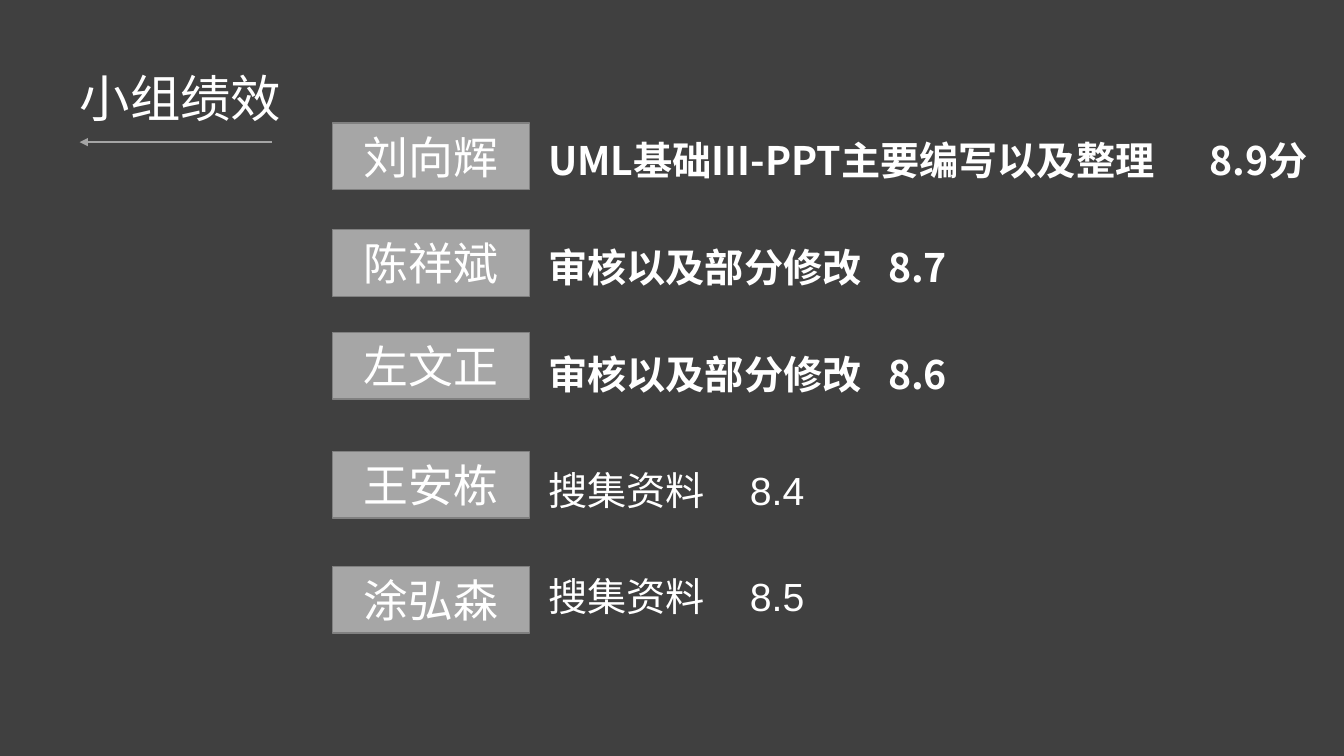
from lxml import etree
from pptx import Presentation
from pptx import util as u
from pptx.dml.color import RGBColor
from pptx.enum import shapes, text
from pptx.oxml import ns

BACKGROUND = RGBColor(0x40, 0x40, 0x40)
WHITE = RGBColor(0xFF, 0xFF, 0xFF)
BOX_FILL = RGBColor(0xA6, 0xA6, 0xA6)
BOX_LINE = RGBColor(0x80, 0x80, 0x80)
ARROW = RGBColor(0xA5, 0xA5, 0xA5)
CHINESE_FONT = "Noto Sans CJK SC"
LATIN_FONT = "Arial"

LEAD = {"bold": True, "spacing": 1.15}
HELPER = {"font": LATIN_FONT, "spacing": 0.9}
MEMBERS = [
    ("刘向辉", 1.22, "UML基础III-PPT主要编写以及整理", "8.9分", 0.42, 6.56, LEAD),
    ("陈祥斌", 2.28, "审核以及部分修改", "8.7", 1.48, 3.37, LEAD),
    ("左文正", 3.3, "审核以及部分修改", "8.6", 2.54, 3.37, LEAD),
    ("王安栋", 4.48, "搜集资料", "8.4", 3.75, 2, HELPER),
    ("涂弘森", 5.62, "搜集资料", "8.5", 4.81, 2, HELPER),
]


def write_text(shape, content, size, font=CHINESE_FONT, bold=False,
               align=text.PP_ALIGN.LEFT, spacing=1.0, tab=None):
    """Fill a shape with one formatted paragraph."""
    frame = shape.text_frame
    frame.word_wrap = True
    frame.auto_size = text.MSO_AUTO_SIZE.NONE
    frame.vertical_anchor = text.MSO_ANCHOR.MIDDLE
    paragraph = frame.paragraphs[0]
    paragraph.alignment = align
    paragraph.line_spacing = spacing
    run = paragraph.add_run()
    run.text = content
    run.font.size = u.Pt(size)
    run.font.bold = bold
    run.font.name = font
    run.font.color.rgb = WHITE
    east_asian = etree.SubElement(run.font._element, ns.qn("a:ea"))
    east_asian.set("typeface", CHINESE_FONT)
    if tab is not None:
        properties = paragraph._p.get_or_add_pPr()
        stops = etree.SubElement(properties, ns.qn("a:tabLst"))
        etree.SubElement(stops, ns.qn("a:tab"), pos=str(u.Inches(tab)), algn="l")


def add_title(slide, content):
    """Place and fill the title placeholder."""
    title = slide.shapes.title
    title.left, title.top = u.Inches(0.69), u.Inches(0.28)
    title.width, title.height = u.Inches(4.09), u.Inches(1.45)
    write_text(title, content, 36, spacing=0.9)


def add_arrow(slide, start, end, y):
    """Draw a horizontal arrow with its head at the end."""
    arrow = slide.shapes.add_connector(
        shapes.MSO_CONNECTOR.STRAIGHT,
        u.Inches(start), u.Inches(y), u.Inches(end), u.Inches(y))
    arrow.line.color.rgb = ARROW
    arrow.line.width = u.Pt(1.5)
    etree.SubElement(arrow.line._get_or_add_ln(), ns.qn("a:tailEnd"), type="triangle")
    etree.SubElement(arrow._element.spPr, ns.qn("a:effectLst"))


def add_name_box(slide, name, top):
    """Draw a grey box holding a member's name."""
    box = slide.shapes.add_shape(
        shapes.MSO_SHAPE.RECTANGLE,
        u.Inches(3.3), u.Inches(top), u.Inches(1.95), u.Inches(0.66))
    box.shadow.inherit = False
    box.fill.solid()
    box.fill.fore_color.rgb = BOX_FILL
    box.line.color.rgb = BOX_LINE
    box.line.width = u.Pt(1)
    write_text(box, name, 32, align=text.PP_ALIGN.CENTER)


def add_task(slide, task, score, top, tab, style):
    """Write a member's task and score, separated by a tab stop."""
    box = slide.shapes.add_textbox(
        u.Inches(5.34), u.Inches(top), u.Inches(7.96), u.Inches(2.27))
    write_text(box, f"{task}\t{score}", 28, tab=tab, **style)


def main():
    """Build and save the group performance slide."""
    presentation = Presentation()
    presentation.slide_width = u.Inches(13.33)
    presentation.slide_height = u.Inches(7.5)
    slide = presentation.slides.add_slide(presentation.slide_layouts[5])
    slide.background.fill.solid()
    slide.background.fill.fore_color.rgb = BACKGROUND
    add_title(slide, "小组绩效")
    add_arrow(slide, 2.7, 0.79, 1.41)
    for name, box_top, task, score, task_top, tab, style in MEMBERS:
        add_name_box(slide, name, box_top)
        add_task(slide, task, score, task_top, tab, style)
    presentation.save("out.pptx")


if __name__ == "__main__":
    main()
